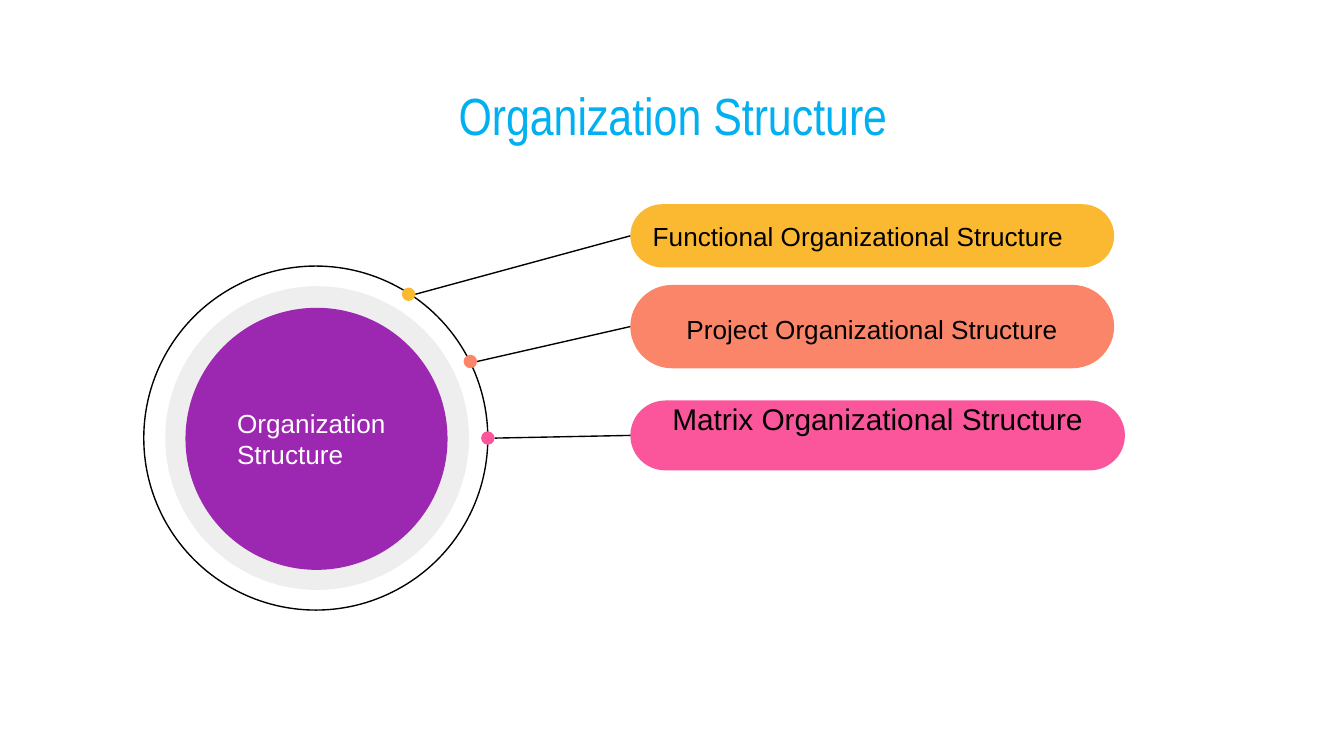
from dataclasses import dataclass

from lxml import etree
from pptx import Presentation
from pptx.dml.color import RGBColor
from pptx.enum import shapes, text
from pptx.oxml import ns
from pptx.util import Inches, Pt

COLORS = {
    "black": "000000", "white": "FFFFFF", "title": "00B0F0",
    "ring": "EEEEEE", "hub": "9C27B0",
    "functional": "FBB831", "project": "FB8569", "matrix": "FB569C",
}
PILL_LEFT = 4.69
DOT_SIZE = 0.1


@dataclass
class Branch:
    label: str
    color: str
    top: float
    width: float
    height: float
    dot: tuple[float, float]
    size: int = 14
    align: text.PP_ALIGN = text.PP_ALIGN.CENTER
    inset_top: float = 0.1
    inset_bottom: float = 0.1


BRANCHES = [
    Branch("Functional Organizational Structure", "functional", 1.52, 3.6, 0.47,
           (2.99, 2.14), align=text.PP_ALIGN.LEFT),
    Branch("Project Organizational Structure", "project", 2.12, 3.6, 0.62,
           (3.45, 2.64), inset_top=0.14),
    Branch("Matrix Organizational Structure", "matrix", 2.98, 3.68, 0.52,
           (3.58, 3.21), size=16, inset_top=0, inset_bottom=0.25),
]


def rgb(name: str) -> RGBColor:
    return RGBColor.from_string(COLORS[name])


def add_shape(slide, kind, left: float, top: float, width: float, height: float,
              fill: str | None = None, line: str | None = None):
    shape = slide.shapes.add_shape(
        kind, Inches(left), Inches(top), Inches(width), Inches(height))
    shape.shadow.inherit = False
    if fill:
        shape.fill.solid()
        shape.fill.fore_color.rgb = rgb(fill)
    else:
        shape.fill.background()
    if line:
        shape.line.color.rgb = rgb(line)
        shape.line.width = Pt(0.75)
    else:
        shape.line.fill.background()
    return shape


def add_circle(slide, left: float, top: float, size: float, **style):
    return add_shape(slide, shapes.MSO_SHAPE.OVAL, left, top, size, size, **style)


def write(shape, words: str, size: int, color: str, align, font: str = "Arial",
          inset_top: float = 0.1, inset_bottom: float = 0.1) -> None:
    frame = shape.text_frame
    frame.word_wrap = True
    frame.auto_size = text.MSO_AUTO_SIZE.NONE
    frame.vertical_anchor = text.MSO_ANCHOR.MIDDLE
    frame.margin_left = frame.margin_right = Inches(0.1)
    frame.margin_top = Inches(inset_top)
    frame.margin_bottom = Inches(inset_bottom)
    frame.text = words
    paragraph = frame.paragraphs[0]
    paragraph.alignment = align
    paragraph.font.name = font
    paragraph.font.size = Pt(size)
    paragraph.font.color.rgb = rgb(color)


def add_branch(slide, branch: Branch) -> None:
    """Draw a pill, its dot on the outer circle and the line joining them."""
    pill = add_shape(slide, shapes.MSO_SHAPE.ROUNDED_RECTANGLE, PILL_LEFT,
                     branch.top, branch.width, branch.height, fill=branch.color)
    pill.adjustments[0] = 0.5
    write(pill, branch.label, branch.size, "black", branch.align,
          inset_top=branch.inset_top, inset_bottom=branch.inset_bottom)

    dot_left, dot_top = branch.dot
    link = slide.shapes.add_connector(
        shapes.MSO_CONNECTOR.STRAIGHT,
        Inches(PILL_LEFT), Inches(branch.top + branch.height / 2),
        Inches(dot_left + DOT_SIZE), Inches(dot_top + DOT_SIZE / 2))
    link.begin_connect(pill, 1)
    link.line.color.rgb = rgb("black")
    link.line.width = Pt(0.75)
    etree.SubElement(link._element.spPr, ns.qn("a:effectLst"))

    add_circle(slide, dot_left, dot_top, DOT_SIZE, fill=branch.color)


def main() -> None:
    deck = Presentation()
    deck.slide_width = Inches(10)
    deck.slide_height = Inches(10 * 9 / 16)
    slide = deck.slides.add_slide(deck.slide_layouts[5])

    title = slide.shapes.title
    title.left, title.top = Inches(0.78), Inches(0.59)
    title.width, title.height = Inches(8.45), Inches(0.53)
    write(title, "Organization Structure", 28, "title",
          text.PP_ALIGN.CENTER, font="Arial Narrow")

    add_circle(slide, 1.07, 1.98, 2.56, line="black")
    add_circle(slide, 1.23, 2.13, 2.26, fill="ring")
    hub = add_circle(slide, 1.38, 2.29, 1.95, fill="hub")
    write(hub, "Organization Structure", 14, "white", text.PP_ALIGN.LEFT)

    for branch in BRANCHES:
        add_branch(slide, branch)

    deck.save("out.pptx")


if __name__ == "__main__":
    main()
